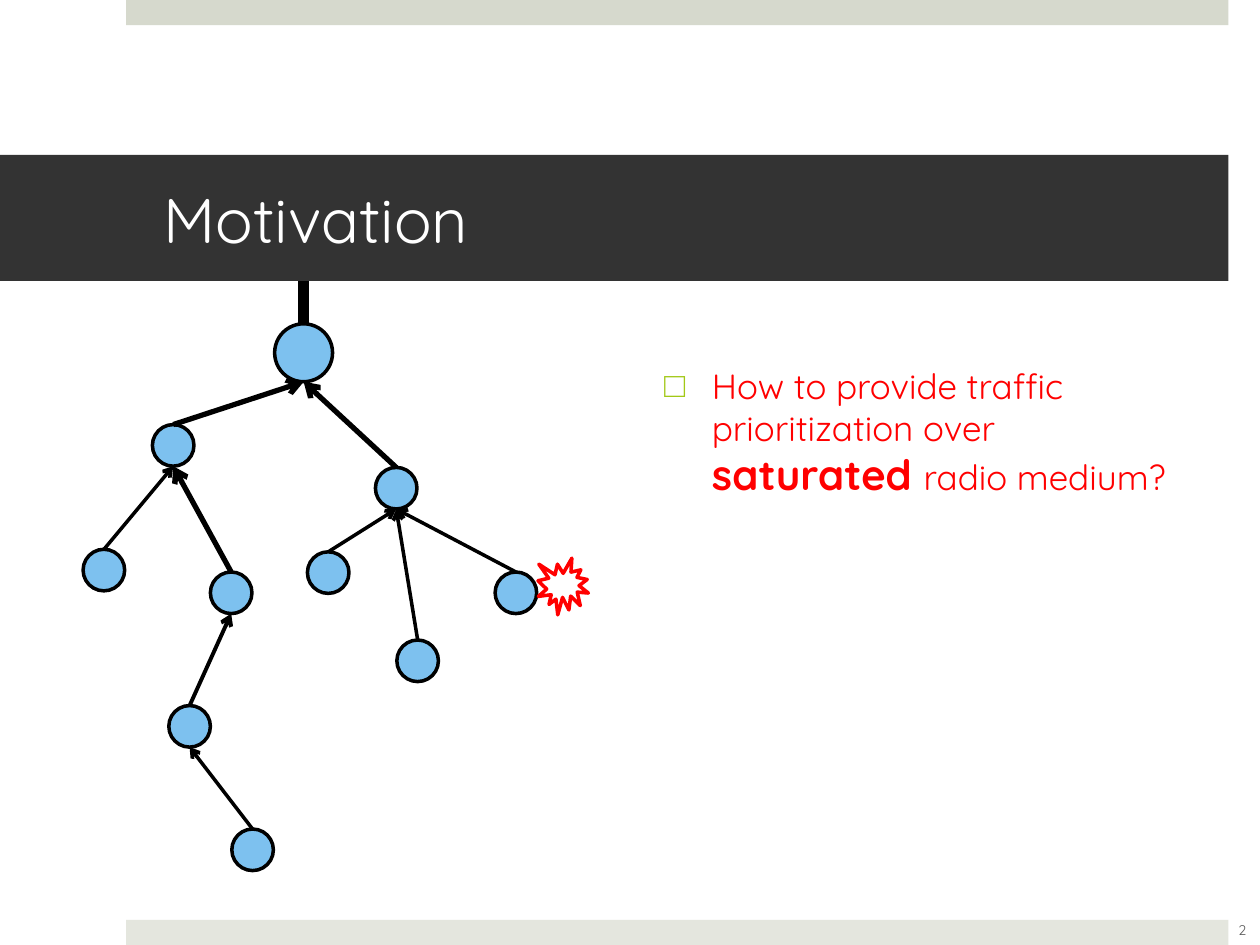
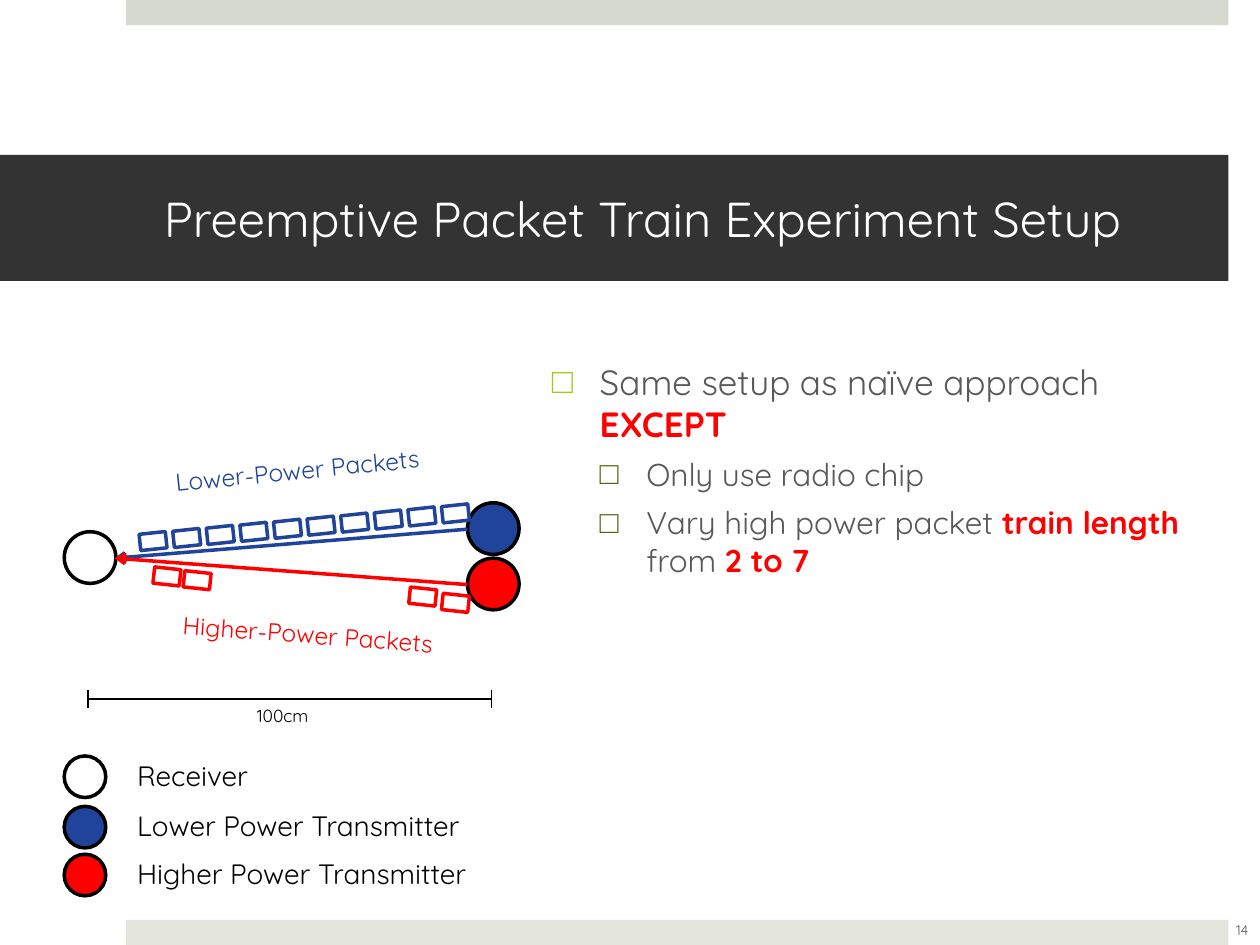
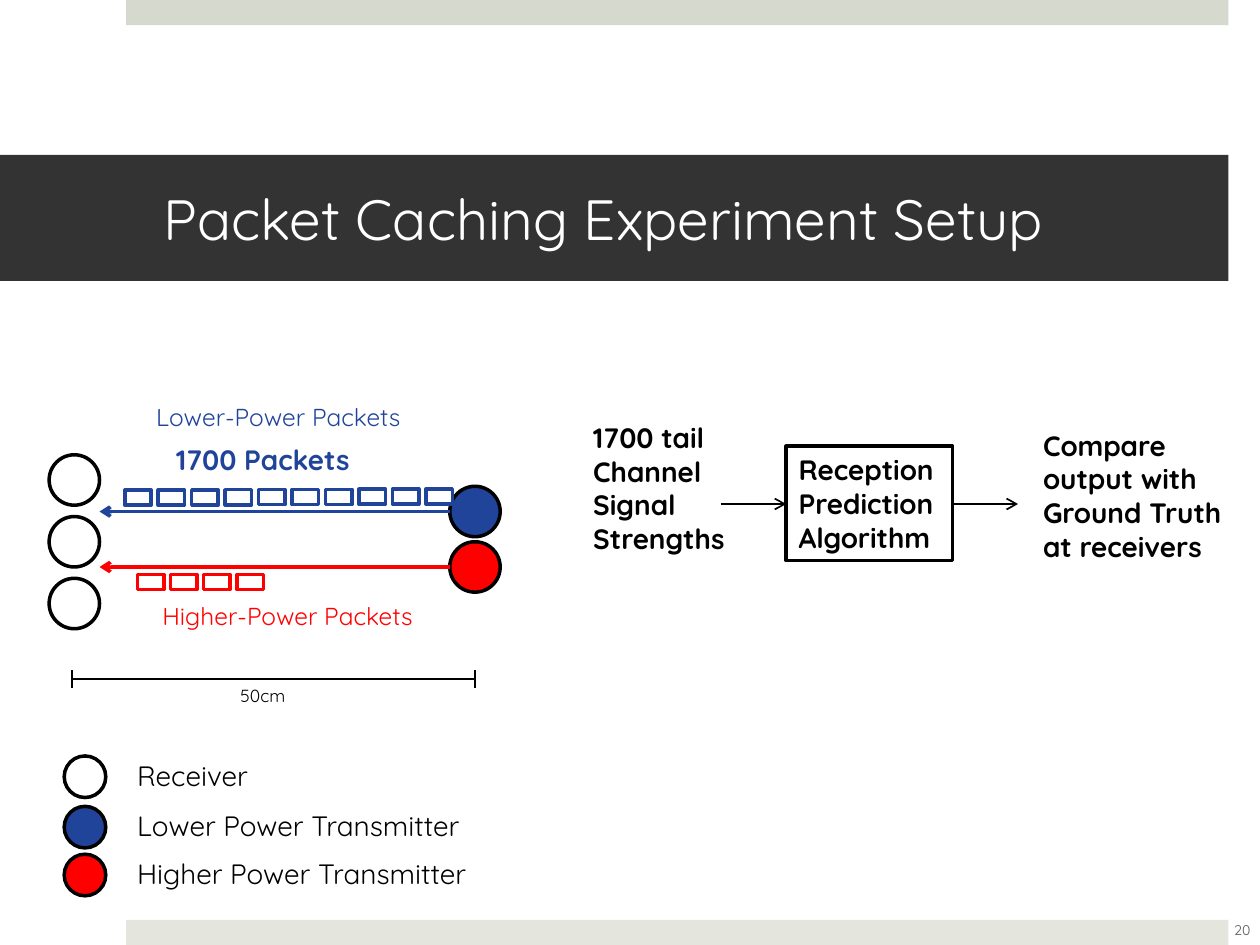
from dataclasses import dataclass
from typing import Optional

from lxml.etree import SubElement
from pptx import Presentation
from pptx.dml.color import RGBColor
from pptx.enum.shapes import MSO_CONNECTOR, MSO_SHAPE
from pptx.enum.text import MSO_ANCHOR, MSO_AUTO_SIZE as FIT, PP_ALIGN
from pptx.oxml.ns import qn
from pptx.util import Inches, Pt

FONT = "Quicksand"
COLORS = {
    "black": "000000", "white": "FFFFFF", "grey": "595959", "dark": "333333",
    "top": "D6D9CD", "bottom": "E4E6DE", "red": "FF0000", "blue": "21449B",
    "node": "7DC1EF", "bullet1": "A2C816", "bullet2": "51640B",
}


def rgb(name: str) -> RGBColor:
    return RGBColor.from_string(COLORS[name])


@dataclass
class Run:
    text: str
    size: float
    color: str = "black"
    bold: bool = False


@dataclass
class Bullet:
    runs: list[Run]
    level: int = 0


@dataclass
class Node:
    x: float
    y: float
    size: float = 0.33
    parent: Optional[str] = None
    weight: float = 2

    @property
    def center(self) -> float:
        return self.x + self.size / 2


@dataclass
class Train:
    """A row of evenly spaced packets between two positions."""
    first: tuple[float, float]
    last: tuple[float, float]
    count: int
    color: str
    height: float = 0.12
    rotation: float = 0


# Drawing helpers
def write(p, *runs: Run) -> None:
    for run in runs:
        r = p.add_run()
        r.text = run.text
        values = {"name": FONT, "size": Pt(run.size), "bold": run.bold}
        for attr, value in values.items():
            setattr(r.font, attr, value)
        r.font.color.rgb = rgb(run.color)


def add_shape(s, kind, x: float, y: float, w: float, h: float,
              fill: Optional[str] = None, line: Optional[str] = "black"):
    sp = s.shapes.add_shape(kind, Inches(x), Inches(y), Inches(w), Inches(h))
    sp.shadow.inherit = False
    if fill:
        sp.fill.solid()
        sp.fill.fore_color.rgb = rgb(fill)
    else:
        sp.fill.background()
    if line:
        sp.line.color.rgb = rgb(line)
        sp.line.width = Pt(2)
    else:
        sp.line.fill.background()
    return sp


def add_circle(s, x: float, y: float, size: float, fill: Optional[str] = None):
    return add_shape(s, MSO_SHAPE.OVAL, x, y, size, size, fill)


def add_line(s, x1: float, y1: float, x2: float, y2: float,
             color: str = "black", width: float = 1, end: str = "") -> None:
    """Draw a line; end is "headEnd" or "tailEnd" for an arrow there."""
    c = s.shapes.add_connector(MSO_CONNECTOR.STRAIGHT, Inches(x1), Inches(y1),
                               Inches(x2), Inches(y2))
    c.line.color.rgb = rgb(color)
    c.line.width = Pt(width)
    sp_pr = c.element.spPr
    if end:
        SubElement(sp_pr.find(qn("a:ln")), qn(f"a:{end}"), type="arrow")
    SubElement(sp_pr, qn("a:effectLst"))


def add_text(s, x: float, y: float, w: float, h: float, run: Run,
             wrap: bool = False, rotation: float = 0):
    sp = s.shapes.add_textbox(Inches(x), Inches(y), Inches(w), Inches(h))
    sp.rotation = rotation
    tf = sp.text_frame
    tf.word_wrap, tf.auto_size = wrap, FIT.SHAPE_TO_FIT_TEXT
    write(tf.paragraphs[0], run)
    return sp


def place(sp, x: float, y: float, w: float, h: float) -> None:
    box = {"left": x, "top": y, "width": w, "height": h}
    for attr, value in box.items():
        setattr(sp, attr, Inches(value))


# Shared slide parts
def add_bands(prs, s) -> None:
    """Draw the two bands and move them to the slide master."""
    for i, (y, color) in enumerate([(0, "top"), (7.3, "bottom")]):
        band = add_shape(s, MSO_SHAPE.RECTANGLE, 1, y, 8.75, 0.2, color, None)
        band.element.xpath(".//p:cNvPr")[0].set("id", str(20 + i))
        prs.slide_master.shapes.element.insert(2 + i, band.element)


def start_slide(prs, layout: int, title: str, size: float, number: int):
    s = prs.slides.add_slide(prs.slide_layouts[layout])
    sp = s.shapes.title
    place(sp, 0, 1.23, 9.75, 1)
    sp.fill.solid()
    sp.fill.fore_color.rgb = rgb("dark")
    tf = sp.text_frame
    frame = {"margin_left": Inches(1.3), "margin_right": Inches(0.3),
             "margin_top": Inches(0.05), "margin_bottom": Inches(0.05),
             "vertical_anchor": MSO_ANCHOR.MIDDLE, "auto_size": FIT.NONE}
    for attr, value in frame.items():
        setattr(tf, attr, value)
    tf.paragraphs[0].alignment = PP_ALIGN.LEFT
    write(tf.paragraphs[0], Run(title, size, "white"))

    num = add_text(s, 9.61, 7.18, 0.5, 0.4, Run(str(number), 8, "grey"), True)
    num.text_frame.auto_size = FIT.NONE
    num.text_frame.vertical_anchor = MSO_ANCHOR.MIDDLE
    num.text_frame.paragraphs[0].alignment = PP_ALIGN.CENTER
    return s


def fill_body(s, x: float, y: float, w: float, h: float,
              bullets: list[Bullet]) -> None:
    sp = s.placeholders[1]
    place(sp, x, y, w, h)
    tf = sp.text_frame
    tf.auto_size = FIT.NONE
    # left margin, hanging indent, space before, bullet colour
    levels = [(0.38, 0.38, 20, "bullet1"), (0.75, 0.37, 6, "bullet2")]
    for i, bullet in enumerate(bullets):
        p = tf.add_paragraph() if i else tf.paragraphs[0]
        margin, hang, before, color = levels[bullet.level]
        p.level = bullet.level
        p.space_before = Pt(before)
        p_pr = p._p.get_or_add_pPr()
        p_pr.set("marL", str(Inches(margin)))
        p_pr.set("indent", str(-Inches(hang)))
        SubElement(SubElement(p_pr, qn("a:buClr")), qn("a:srgbClr"),
                   val=COLORS[color])
        SubElement(p_pr, qn("a:buChar"), char="□")
        write(p, *bullet.runs)


# Parts of the experiment diagrams
def add_train(s, t: Train) -> None:
    (x1, y1), (x2, y2) = t.first, t.last
    for i in range(t.count):
        f = i / (t.count - 1)
        sp = add_shape(s, MSO_SHAPE.RECTANGLE, x1 + f * (x2 - x1),
                       y1 + f * (y2 - y1), 0.21, t.height, "white", t.color)
        sp.rotation = t.rotation


def add_scale(s, x: float, y: float, label: str, label_w: float) -> None:
    right = x + 3.2
    add_line(s, x, y, right, y)
    for end in (x, right):
        add_line(s, end, y - 0.07, end, y + 0.07)
    add_text(s, x + 1.24, y, label_w, 0.33, Run(label, 10))


def add_legend(s) -> None:
    rows = [("Receiver", None, 6, 1.16),
            ("Lower Power Transmitter", "blue", 6.4, 2.81),
            ("Higher Power Transmitter", "red", 6.78, 2.87)]
    for label, fill, y, w in rows:
        add_circle(s, 0.51, y, 0.33, fill)
        add_text(s, 0.99, y - 0.03, w, 0.37, Run(label, 16))


prs = Presentation()
prs.slide_width, prs.slide_height = Inches(10), Inches(7.5)

# Slide 1: routing tree
s = start_slide(prs, 1, "Motivation", 36, 2)
add_bands(prs, s)
nodes = {
    "root": Node(2.18, 2.57, 0.46),
    "left": Node(1.21, 3.37, parent="root", weight=3),
    "right": Node(2.98, 3.71, parent="root", weight=3),
    "left outer": Node(0.66, 4.36, parent="left"),
    "left inner": Node(1.67, 4.54, parent="left", weight=3),
    "right inner": Node(2.44, 4.38, parent="right"),
    "right middle": Node(3.15, 5.08, parent="right"),
    "right outer": Node(3.93, 4.54, parent="right"),
    "relay": Node(1.34, 5.6, parent="left inner", weight=2.25),
    "leaf": Node(1.84, 6.58, parent="relay"),
}
for node in nodes.values():
    add_circle(s, node.x, node.y, node.size, "node")
root = nodes["root"]
add_line(s, root.center, 2.23, root.center, root.y, width=6)
for node in nodes.values():
    if node.parent:
        up = nodes[node.parent]
        add_line(s, up.center, up.y + up.size, node.center, node.y,
                 width=node.weight, end="headEnd")
add_shape(s, MSO_SHAPE.EXPLOSION1, 4.27, 4.43, 0.4, 0.45, line="red")
fill_body(s, 5.17, 2.84, 4.37, 4.01, [
    Bullet([Run("How to provide traffic prioritization over ", 20, "red"),
            Run("saturated ", 24, "red", True),
            Run("radio medium?", 20, "red")]),
])

# Slide 2: packet train setup
s = start_slide(prs, 1, "Preemptive Packet Train Experiment Setup", 28, 14)
fill_body(s, 4.28, 2.81, 5.46, 4.01, [
    Bullet([Run("Same setup as naïve approach ", 20, "grey"),
            Run("EXCEPT", 20, "red", True)]),
    Bullet([Run("Only use radio chip", 18, "grey")], 1),
    Bullet([Run("Vary high power packet ", 18, "grey"),
            Run("train length ", 18, "red", True),
            Run("from ", 18, "grey"),
            Run("2 to 7", 18, "red", True)], 1),
])
add_circle(s, 0.51, 4.22, 0.41)
for y, color in [(3.99, "blue"), (4.43, "red")]:
    add_circle(s, 3.71, y, 0.41, color)
    add_line(s, 3.71, y + 0.21, 0.91, 4.43, color, 2, "tailEnd")
add_text(s, 1.29, 3.56, 2.23, 0.34, Run("Lower-Power Packets", 14, "blue"),
         rotation=354.3)
add_text(s, 1.35, 4.87, 2.27, 0.34, Run("Higher-Power Packets", 14, "red"),
         rotation=4.3)
add_scale(s, 0.7, 5.55, "100cm", 0.79)
for train in [
    Train((1.11, 4.23), (3.51, 4.01), 10, "blue", 0.13, 353.9),
    Train((1.22, 4.51), (1.46, 4.54), 2, "red", 0.13, 6.1),
    Train((3.25, 4.67), (3.51, 4.72), 2, "red", 0.13, 6.1),
]:
    add_train(s, train)
add_legend(s)

# Slide 3: packet caching setup
s = start_slide(prs, 5, "Packet Caching Experiment Setup", 32.4, 20)
for i in range(3):
    add_circle(s, 0.39, 3.61 + 0.49 * i, 0.4)
for y, color in [(3.86, "blue"), (4.3, "red")]:
    add_circle(s, 3.57, y, 0.4, color)
    add_line(s, 3.57, y + 0.2, 0.79, y + 0.2, color, 2, "tailEnd")
add_text(s, 1.14, 3.14, 2.23, 0.34, Run("Lower-Power Packets", 14, "blue"))
add_text(s, 1.19, 4.72, 2.27, 0.34, Run("Higher-Power Packets", 14, "red"))
add_text(s, 1.3, 3.46, 1.8, 0.37, Run("1700 Packets", 16, "blue", True), True)
add_scale(s, 0.57, 5.39, "50cm", 0.69)
add_train(s, Train((0.99, 3.89), (3.38, 3.88), 10, "blue"))
add_train(s, Train((1.09, 4.56), (1.88, 4.56), 4, "red"))
add_legend(s)

# Prediction flow
add_text(s, 4.61, 3.29, 1.32, 1.18,
         Run("1700 tail Channel Signal Strengths", 16, bold=True), True)
step = add_shape(s, MSO_SHAPE.RECTANGLE, 6.24, 3.54, 1.32, 0.91, "white")
step.text_frame.word_wrap = True
step.text_frame.auto_size = FIT.SHAPE_TO_FIT_TEXT
step.text_frame.paragraphs[0].alignment = PP_ALIGN.LEFT
write(step.text_frame.paragraphs[0],
      Run("Reception Prediction Algorithm", 16, bold=True))
add_text(s, 8.18, 3.35, 1.63, 1.18,
         Run("Compare output with Ground Truth at receivers", 16, bold=True),
         True)
for x in (5.72, 7.56):
    add_line(s, x, 4, x + 0.52, 4, end="tailEnd")

prs.save("out.pptx")
